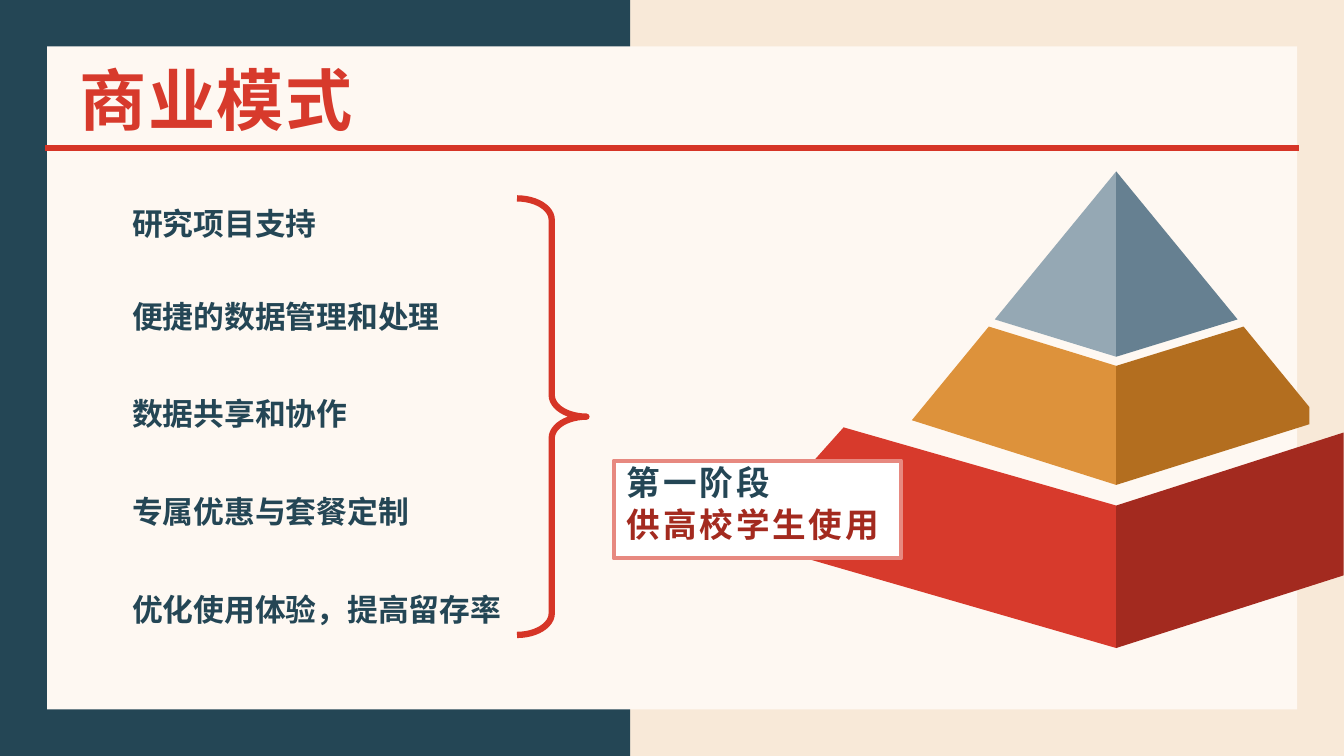
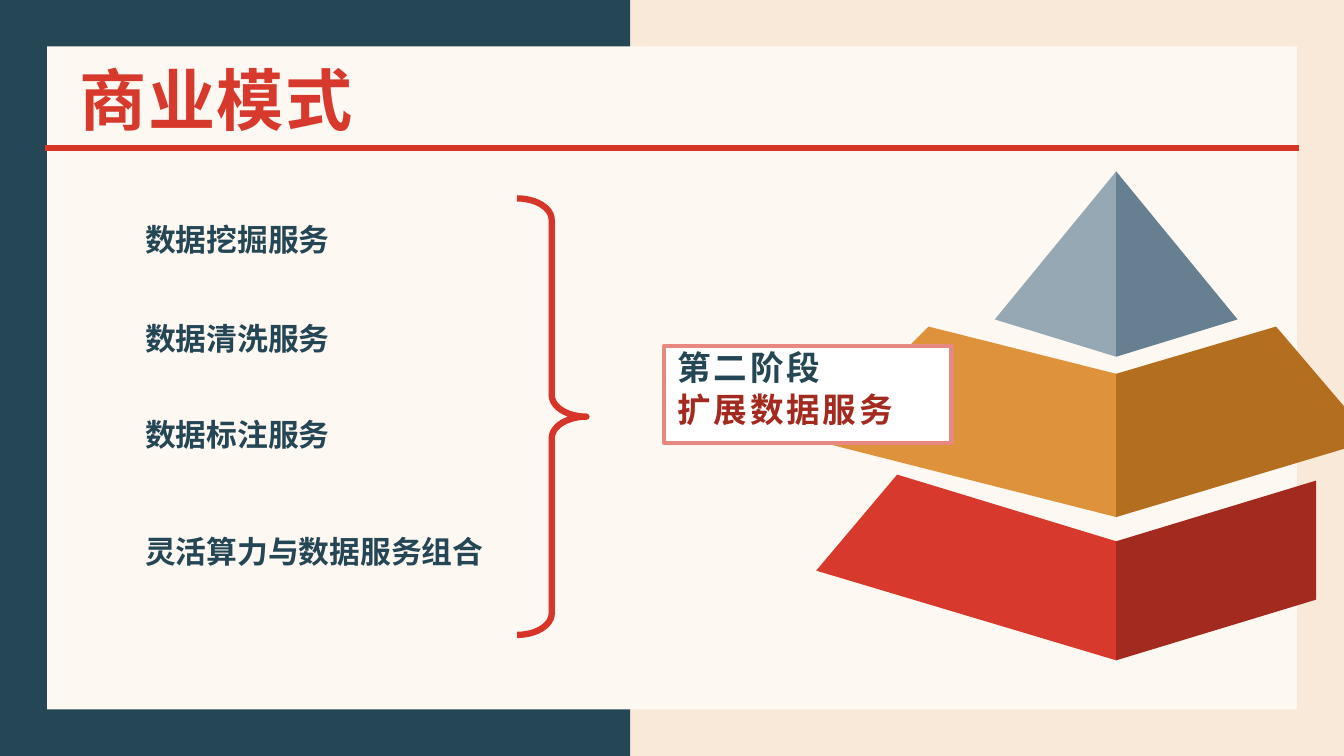
import pptx
import pptx.util
import pptx.dml.color
import pptx.enum.shapes
import pptx.enum.text
import pptx.oxml
import pptx.oxml.ns
import lxml.etree

Cm = pptx.util.Cm
SHAPES = pptx.enum.shapes.MSO_SHAPE
ANCHOR = pptx.enum.text.MSO_ANCHOR

FONT = "Noto Sans CJK SC"
COLORS = {
    "sand": "F8E9D8",
    "navy": "244655",
    "cream": "FEF8F2",
    "accent": "D63527",
    "red": "D73A2C",
    "dark_red": "A32A1F",
    "orange": "DD923B",
    "dark_orange": "B36E1F",
    "grey": "95A8B4",
    "slate": "668091",
    "white": "FFFFFF",
    "pink": "E78980",
}
RGB = {name: pptx.dml.color.RGBColor.from_string(code) for name, code in COLORS.items()}

AXIS = 28.13
APEX = {
    "left": [(25.07, 8.05)], "right": [(31.19, 8.05)],
    "ridge": (4.32, 8.99), "fills": ("grey", "slate"),
}
STAGES = [
    {
        "services_left": 3.0,
        "services": [
            ("研究项目支持", 5.05),
            ("便捷的数据管理和处理", 7.39),
            ("数据共享和协作", 9.83),
            ("专属优惠与套餐定制", 12.29),
            ("优化使用体验，提高留存率", 14.76),
        ],
        "label_at": (15.47, 11.61),
        "label": [("第一阶段", "navy"), ("供高校学生使用", "dark_red")],
        "tiers": [
            {"left": [(21.26, 10.77), (18.72, 13.61)],
             "right": [(33.86, 10.9), (33.86, 14.5)],
             "ridge": (12.74, 16.33), "fills": ("red", "dark_red")},
            {"left": [(24.92, 8.23), (22.98, 10.59)],
             "right": [(31.34, 8.23), (33, 10.26), (33, 10.69)],
             "ridge": (9.22, 12.22), "fills": ("orange", "dark_orange")},
            APEX,
        ],
    },
    {
        "services_left": 3.33,
        "services": [
            ("数据挖掘服务", 5.43),
            ("数据清洗服务", 7.93),
            ("数据标注服务", 10.36),
            ("灵活算力与数据服务组合", 13.3),
        ],
        "label_at": (16.74, 8.71),
        "label": [("第二阶段", "navy"), ("扩展数据服务", "dark_red")],
        "tiers": [
            {"left": [(22.61, 11.96), (20.57, 14.38)],
             "right": [(33.17, 12.11), (33.17, 15.11)],
             "ridge": (13.64, 16.64), "fills": ("red", "dark_red")},
            {"left": [(23.4, 8.23), (20.52, 11.1)],
             "right": [(32.16, 8.23), (34.24, 10.67), (34.24, 11.2)],
             "ridge": (9.42, 13.03), "fills": ("orange", "dark_orange")},
            APEX,
        ],
    },
]


def write(shape, lines, size, anchor=ANCHOR.MIDDLE, tracking=0, line_spacing=1.0, after=0):
    frame = shape.text_frame
    frame.word_wrap = True
    frame.vertical_anchor = anchor
    frame.margin_left = frame.margin_right = Cm(0.33)
    frame.margin_top = frame.margin_bottom = Cm(0.18)
    for index, (text, color) in enumerate(lines):
        paragraph = frame.add_paragraph() if index else frame.paragraphs[0]
        paragraph.alignment = pptx.enum.text.PP_ALIGN.LEFT
        paragraph.line_spacing = line_spacing
        paragraph.space_after = pptx.util.Pt(after)
        run = paragraph.add_run()
        run.text = text
        run.font.size = pptx.util.Pt(size)
        run.font.bold = True
        run.font.name = FONT
        run.font.color.rgb = RGB[color]
        properties = run.font._element
        properties.set("spc", str(tracking * 100))
        east_asian = lxml.etree.SubElement(properties, pptx.oxml.ns.qn("a:ea"))
        east_asian.set("typeface", FONT)


def style(shape, fill=None, line=None, width=0):
    shape.shadow.inherit = False
    if fill:
        shape.fill.solid()
        shape.fill.fore_color.rgb = RGB[fill]
    else:
        shape.fill.background()
    if line:
        shape.line.color.rgb = RGB[line]
        shape.line.width = pptx.util.Pt(width)
    else:
        shape.line.fill.background()


deck = pptx.Presentation()
deck.slide_width, deck.slide_height = Cm(33.87), Cm(19.05)
backdrop = deck.slide_master.background.fill
backdrop.solid()
backdrop.fore_color.rgb = RGB["sand"]

for stage in STAGES:
    slide = deck.slides.add_slide(deck.slide_layouts[6])
    shapes = slide.shapes

    side_band = shapes.add_shape(SHAPES.RECTANGLE, 0, 0, Cm(15.88), Cm(19.05))
    style(side_band, fill="navy")
    panel = shapes.add_shape(SHAPES.RECTANGLE, Cm(1.19), Cm(1.17), Cm(31.5), Cm(16.71))
    style(panel, fill="cream")

    for tier in stage["tiers"]:
        ridge_top, ridge_bottom = tier["ridge"]
        for side, fill in zip(("left", "right"), tier["fills"]):
            outline = tier[side] + [(AXIS, ridge_bottom), (AXIS, ridge_top)]
            points = [(Cm(x), Cm(y)) for x, y in outline]
            builder = shapes.build_freeform(*points[0])
            builder.add_line_segments(points[1:], close=True)
            style(builder.convert_to_shape(), fill=fill)

    title_rule = shapes.add_connector(
        pptx.enum.shapes.MSO_CONNECTOR.STRAIGHT, Cm(1.13), Cm(3.73), Cm(32.74), Cm(3.73))
    title_rule.line.color.rgb = RGB["accent"]
    title_rule.line.width = pptx.util.Pt(4.5)
    lxml.etree.SubElement(title_rule._element.spPr, pptx.oxml.ns.qn("a:effectLst"))

    title = shapes.add_textbox(Cm(1.68), Cm(1.27), Cm(13.44), Cm(2.44))
    write(title, [("商业模式", "red")], 48, tracking=1)

    label_left, label_top = stage["label_at"]
    label = shapes.add_shape(SHAPES.RECTANGLE, Cm(label_left), Cm(label_top), Cm(7.24), Cm(2.46))
    style(label, fill="white", line="pink", width=3)
    write(label, stage["label"], 24, anchor=ANCHOR.TOP, tracking=2, line_spacing=0.85, after=6)

    brace = shapes.add_shape(SHAPES.RIGHT_BRACE, Cm(13.03), Cm(5), Cm(1.75), Cm(11))
    brace.adjustments[0] = 0.31
    brace.adjustments[1] = 0.5
    style(brace, line="accent", width=4.5)

    for service, top in stage["services"]:
        service_line = shapes.add_textbox(Cm(stage["services_left"]), Cm(top), Cm(11.3), Cm(1.17))
        write(service_line, [(service, "navy")], 22)

deck.save("out.pptx")
